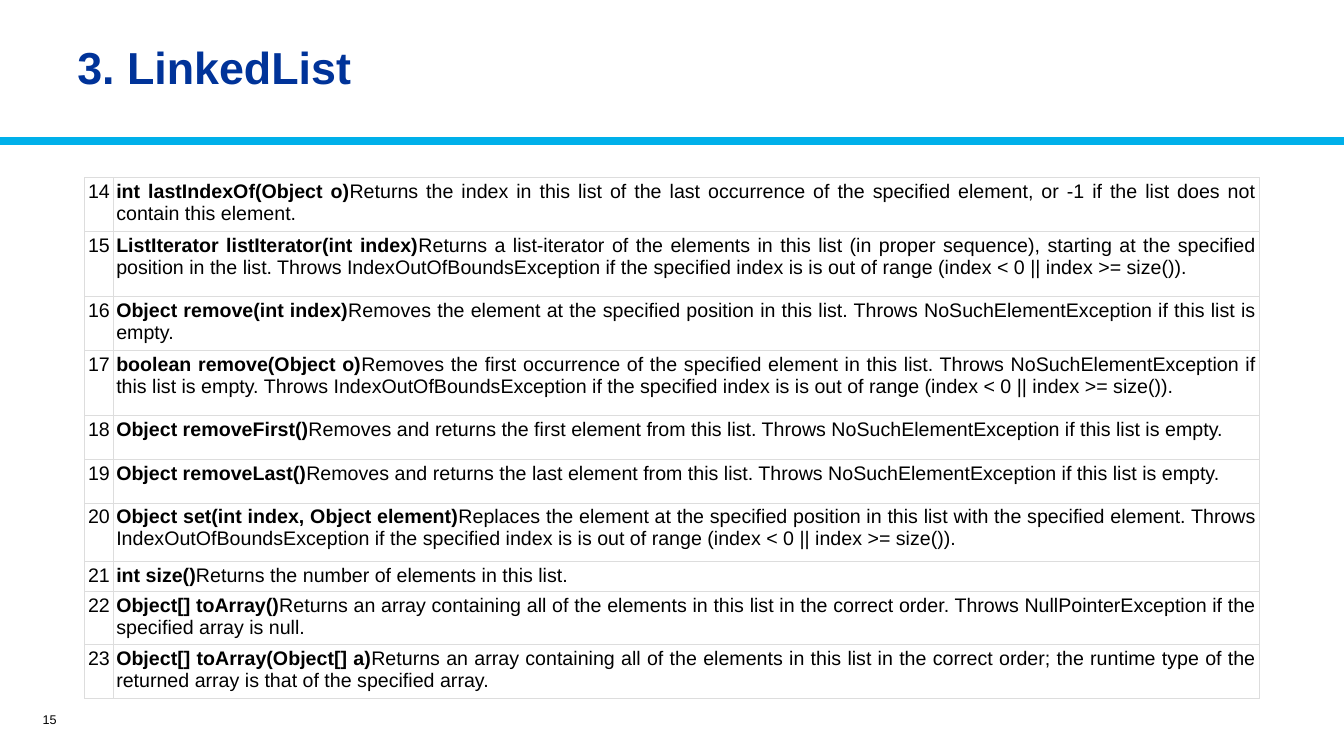
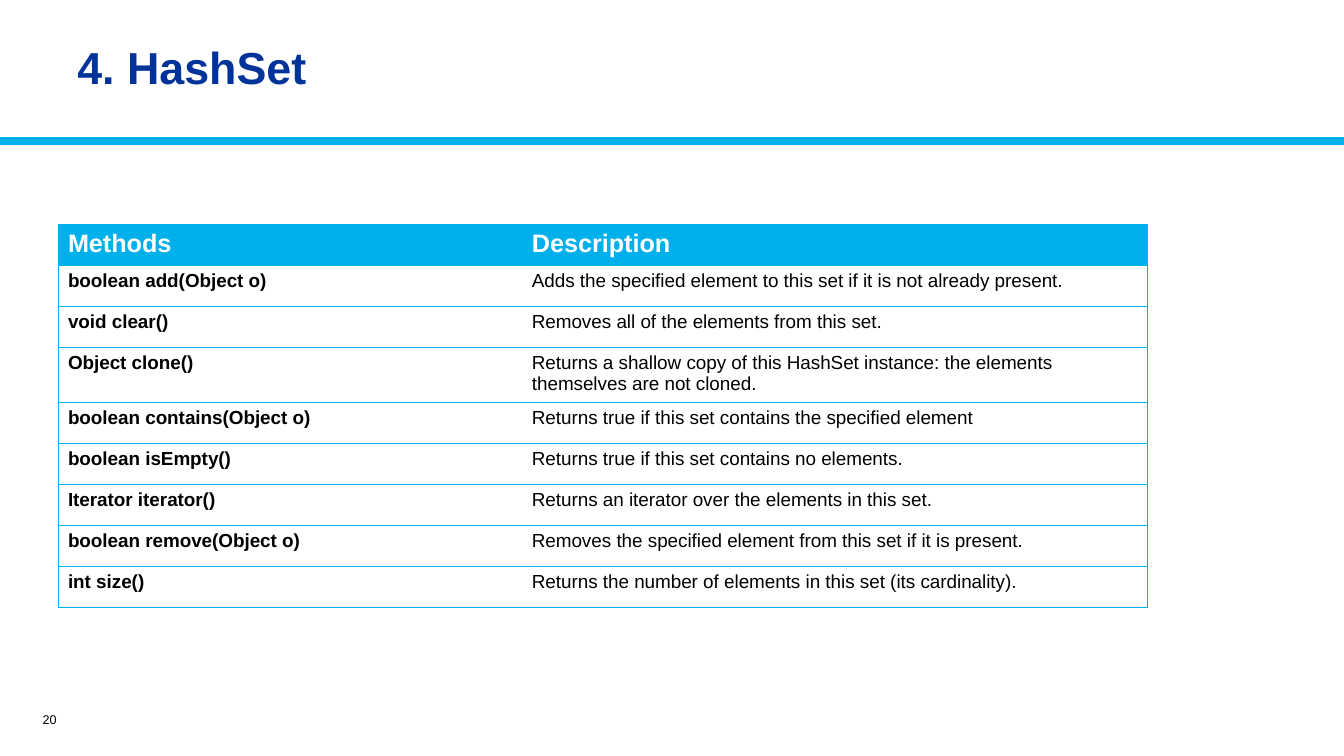
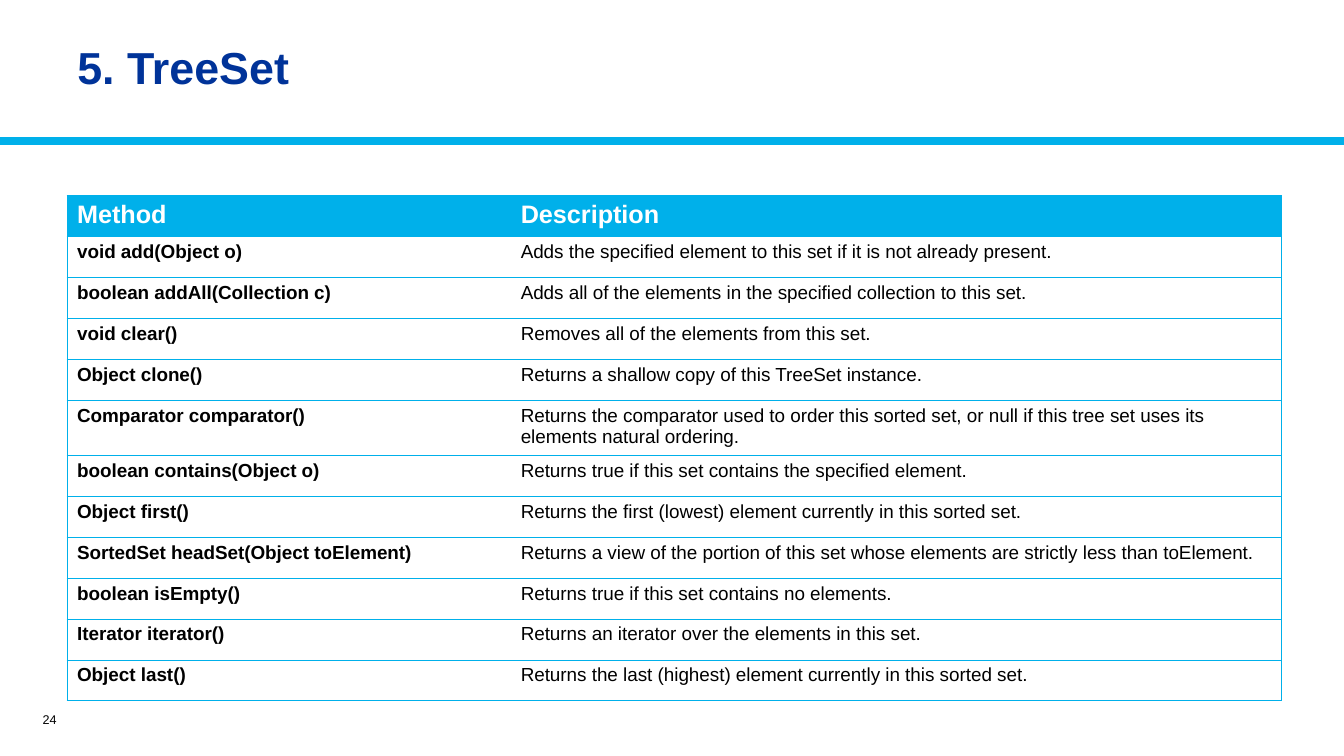
from lxml import etree
from pptx import Presentation
from pptx.dml.color import RGBColor
from pptx.enum.shapes import MSO_CONNECTOR
from pptx.enum.text import MSO_ANCHOR, PP_ALIGN
from pptx.oxml.ns import qn
from pptx.util import Cm, Pt

STRAIGHT = MSO_CONNECTOR.STRAIGHT
MIDDLE = MSO_ANCHOR.MIDDLE
LEFT, RIGHT, JUSTIFY = PP_ALIGN.LEFT, PP_ALIGN.RIGHT, PP_ALIGN.JUSTIFY

FONT = "Arial"
CYAN, NAVY, GREY = "00B0EA", "003399", "DDDDDD"
BLACK, WHITE = "000000", "FFFFFF"
BLANK_LAYOUT = 6
PAGE_WIDTH, PAGE_HEIGHT = 33.87, 19.05
RULE_TOP = 3.56
ROW_HEIGHT = 1.03
LIST_INSET = 0.08

# Number, signature, description, row height in cm
LINKED_LIST_METHODS = [
    ("14", "int lastIndexOf(Object o)",
     "Returns the index in this list of the last occurrence of the specified element, "
     "or -1 if the list does not contain this element.", 1.26),
    ("15", "ListIterator listIterator(int index)",
     "Returns a list-iterator of the elements in this list (in proper sequence), starting at "
     "the specified position in the list. Throws IndexOutOfBoundsException if the specified "
     "index is is out of range (index < 0 || index >= size()).", 1.65),
    ("16", "Object remove(int index)",
     "Removes the element at the specified position in this list. "
     "Throws NoSuchElementException if this list is empty.", 1.26),
    ("17", "boolean remove(Object o)",
     "Removes the first occurrence of the specified element in this list. Throws "
     "NoSuchElementException if this list is empty. Throws IndexOutOfBoundsException if the "
     "specified index is is out of range (index < 0 || index >= size()).", 1.65),
    ("18", "Object removeFirst()",
     "Removes and returns the first element from this list. "
     "Throws NoSuchElementException if this list is empty.", 1.1),
    ("19", "Object removeLast()",
     "Removes and returns the last element from this list. "
     "Throws NoSuchElementException if this list is empty.", 1.1),
    ("20", "Object set(int index, Object element)",
     "Replaces the element at the specified position in this list with the specified element. "
     "Throws IndexOutOfBoundsException if the specified index is is out of range "
     "(index < 0 || index >= size()).", 1.47),
    ("21", "int size()", "Returns the number of elements in this list.", 0.68),
    ("22", "Object[] toArray()",
     "Returns an array containing all of the elements in this list in the correct order. "
     "Throws NullPointerException if the specified array is null.", 1.26),
    ("23", "Object[] toArray(Object[] a)",
     "Returns an array containing all of the elements in this list in the correct order; "
     "the runtime type of the returned array is that of the specified array.", 1.26),
]

HASH_SET_METHODS = [
    ("Methods", "Description"),
    ("boolean add(Object o)",
     "Adds the specified element to this set if it is not already present."),
    ("void clear()", "Removes all of the elements from this set."),
    ("Object clone()",
     "Returns a shallow copy of this HashSet instance: the elements themselves are not cloned."),
    ("boolean contains(Object o)", "Returns true if this set contains the specified element"),
    ("boolean isEmpty()", "Returns true if this set contains no elements."),
    ("Iterator iterator()", "Returns an iterator over the elements in this set."),
    ("boolean remove(Object o)", "Removes the specified element from this set if it is present."),
    ("int size()", "Returns the number of elements in this set (its cardinality)."),
]

TREE_SET_METHODS = [
    ("Method", "Description"),
    ("void add(Object o)",
     "Adds the specified element to this set if it is not already present."),
    ("boolean addAll(Collection c)",
     "Adds all of the elements in the specified collection to this set."),
    ("void clear()", "Removes all of the elements from this set."),
    ("Object clone()", "Returns a shallow copy of this TreeSet instance."),
    ("Comparator comparator()",
     "Returns the comparator used to order this sorted set, or null if this tree set uses its "
     "elements natural ordering."),
    ("boolean contains(Object o)", "Returns true if this set contains the specified element."),
    ("Object first()", "Returns the first (lowest) element currently in this sorted set."),
    ("SortedSet headSet(Object toElement)",
     "Returns a view of the portion of this set whose elements are strictly less than toElement."),
    ("boolean isEmpty()", "Returns true if this set contains no elements."),
    ("Iterator iterator()", "Returns an iterator over the elements in this set."),
    ("Object last()", "Returns the last (highest) element currently in this sorted set."),
]


def rgb(value):
    return RGBColor.from_string(value)


def write(paragraph, text, size=14, color=BLACK, bold=False, align=LEFT):
    """Append a formatted span to the paragraph."""
    paragraph.alignment = align
    span = paragraph.add_run()
    span.text = text
    span.font.name = FONT
    span.font.size = Pt(size)
    span.font.bold = bold
    span.font.color.rgb = rgb(color)


def add_text(page, text, left, top, width, height, line_spacing=1.0, **text_format):
    box = page.shapes.add_textbox(Cm(left), Cm(top), Cm(width), Cm(height))
    frame = box.text_frame
    frame.word_wrap = True
    frame.vertical_anchor = MIDDLE
    paragraph = frame.paragraphs[0]
    paragraph.line_spacing = line_spacing
    write(paragraph, text, **text_format)


def add_rule(page):
    rule = page.shapes.add_connector(
        STRAIGHT, Cm(0), Cm(RULE_TOP), Cm(PAGE_WIDTH), Cm(RULE_TOP))
    rule.line.color.rgb = rgb(CYAN)
    rule.line.width = Pt(6)
    etree.SubElement(rule._element.spPr, qn("a:effectLst"))


def add_page(deck, title, number):
    page = deck.slides.add_slide(deck.slide_layouts[BLANK_LAYOUT])
    add_rule(page)
    add_text(page, number, 0.23, 17.75, 1.45, 0.76, size=9, align=RIGHT)
    add_text(page, title, 1.7, 0.36, 30.53, 2.82, line_spacing=0.9,
             size=32, color=NAVY, bold=True)
    return page


def set_borders(cell, color, width, hidden=()):
    """Draw the four cell edges, except the hidden ones."""
    properties = cell._tc.get_or_add_tcPr()
    for position, edge in enumerate("LRTB"):
        line = etree.Element(qn(f"a:ln{edge}"), w=str(Pt(width)))
        if edge in hidden:
            etree.SubElement(line, qn("a:noFill"))
        else:
            fill = etree.SubElement(line, qn("a:solidFill"))
            etree.SubElement(fill, qn("a:srgbClr"), val=color)
        properties.insert(position, line)


def add_plain_table(page, left, top, widths, heights):
    """Add a table without banding and return it."""
    table = page.shapes.add_table(
        len(heights), len(widths), Cm(left), Cm(top),
        Cm(sum(widths)), Cm(sum(heights))).table
    table.first_row = table.horz_banding = False
    for column, width in zip(table.columns, widths):
        column.width = Cm(width)
    for row, height in zip(table.rows, heights):
        row.height = Cm(height)
    for cell in table.iter_cells():
        cell.fill.background()
    return table


def add_numbered_table(page, methods, left, top, widths):
    table = add_plain_table(page, left, top, widths, [method[-1] for method in methods])
    for row, (number, signature, description, _) in zip(table.rows, methods):
        number_cell, text_cell = row.cells
        write(number_cell.text_frame.paragraphs[0], number)
        paragraph = text_cell.text_frame.paragraphs[0]
        write(paragraph, signature, bold=True, align=JUSTIFY)
        write(paragraph, description, align=JUSTIFY)
    for cell in table.iter_cells():
        cell.margin_left = cell.margin_right = Cm(LIST_INSET)
        cell.margin_top = cell.margin_bottom = Cm(LIST_INSET)
        set_borders(cell, GREY, 0.75)


def add_method_table(page, methods, left, top, widths):
    """Add a two-column table whose first row is the header."""
    table = add_plain_table(page, left, top, widths, [ROW_HEIGHT] * len(methods))
    for row_index, texts in enumerate(methods):
        header = row_index == 0
        for column_index, text in enumerate(texts):
            cell = table.cell(row_index, column_index)
            if header:
                cell.fill.solid()
                cell.fill.fore_color.rgb = rgb(CYAN)
            write(cell.text_frame.paragraphs[0], text,
                  size=18 if header else 13.5,
                  color=WHITE if header else BLACK,
                  bold=header or column_index == 0)
            set_borders(cell, CYAN, 0.5, hidden="R" if column_index == 0 else "L")


def main():
    deck = Presentation()
    deck.slide_width, deck.slide_height = Cm(PAGE_WIDTH), Cm(PAGE_HEIGHT)

    page = add_page(deck, "3. LinkedList", "15")
    add_numbered_table(page, LINKED_LIST_METHODS, 2.14, 4.48, [0.71, 28.9])

    page = add_page(deck, "4. HashSet", "20")
    add_method_table(page, HASH_SET_METHODS, 1.46, 5.66, [11.69, 15.77])

    page = add_page(deck, "5. TreeSet", "24")
    add_method_table(page, TREE_SET_METHODS, 1.69, 4.93, [11.18, 19.43])

    deck.save("out.pptx")


if __name__ == "__main__":
    main()
